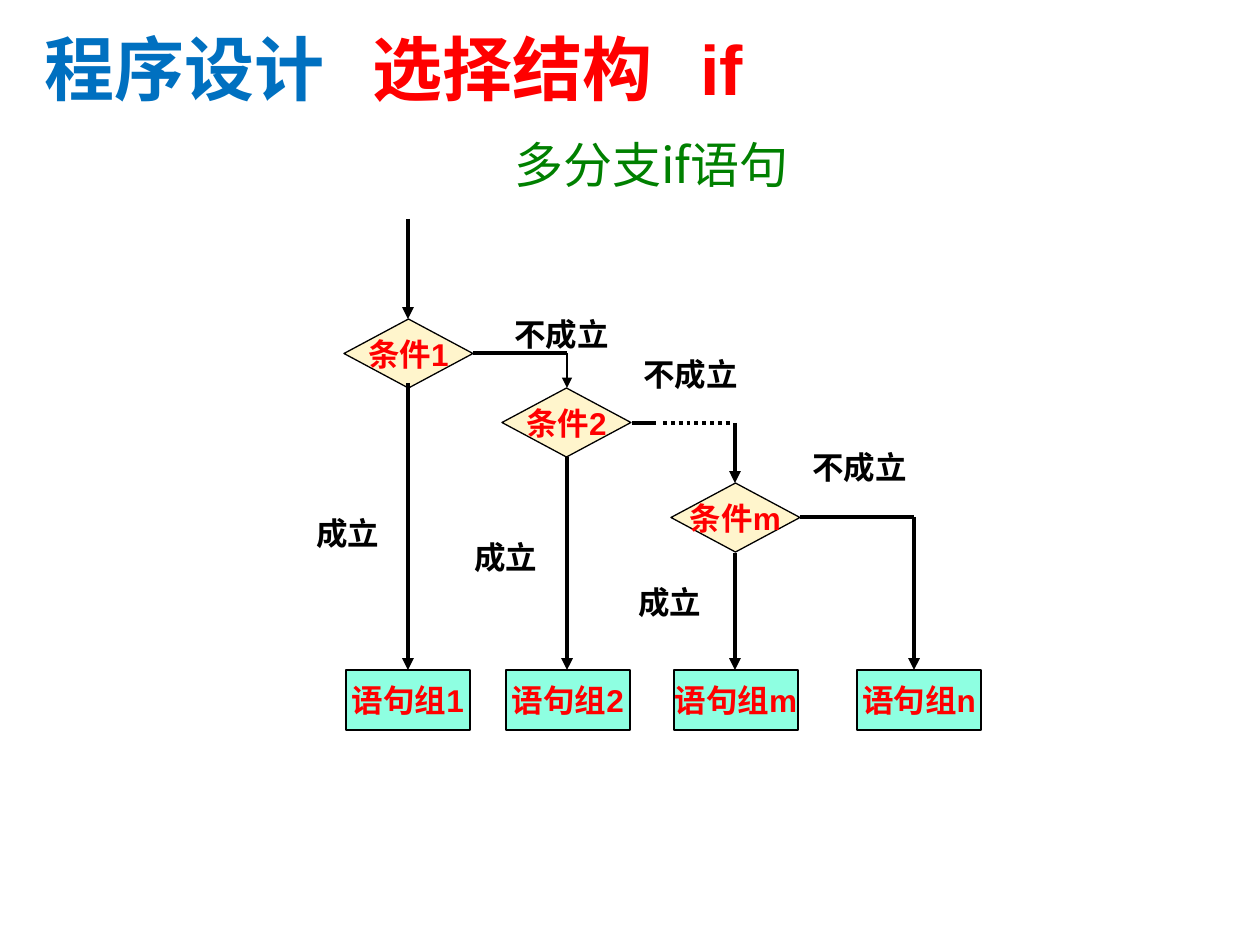
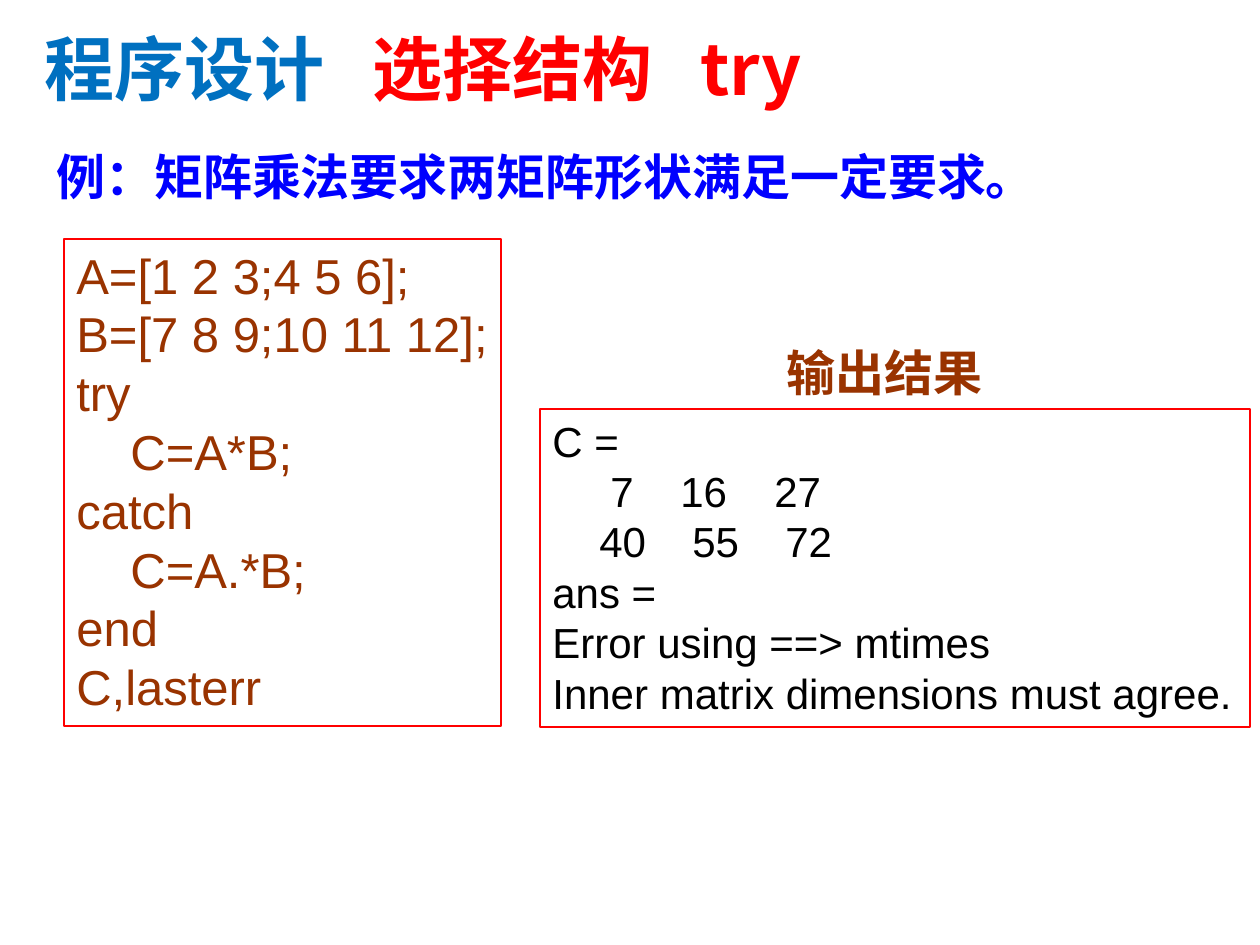
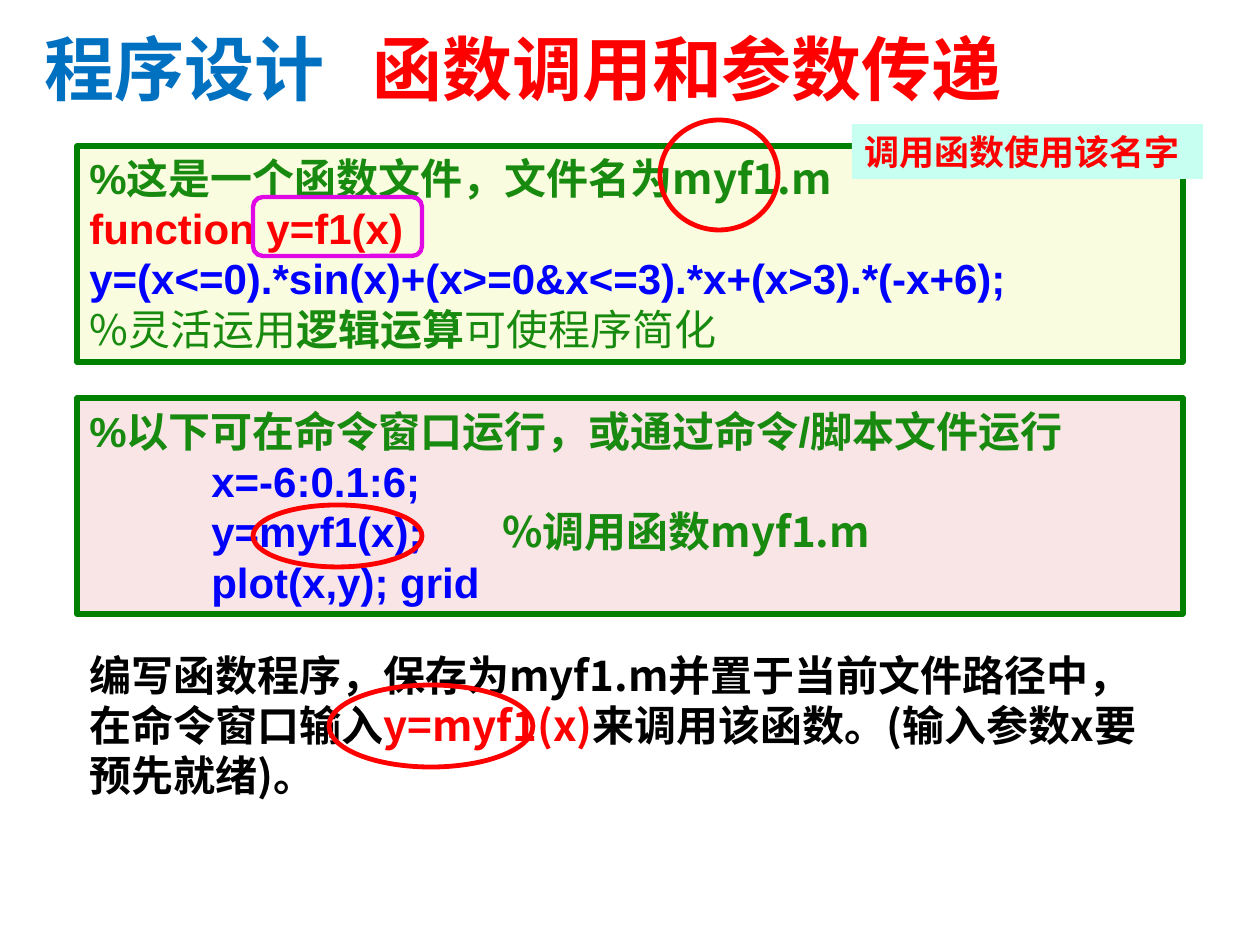
from lxml.etree import SubElement
from pptx import Presentation
from pptx.dml.color import RGBColor
from pptx.enum.dml import MSO_LINE
from pptx.enum.shapes import MSO_CONNECTOR, MSO_SHAPE as Kind
from pptx.enum.text import MSO_ANCHOR as Anchor, PP_ALIGN as Align
from pptx.oxml.ns import qn
from pptx.util import Emu, Pt

COLORS = {
    "black": "000000", "red": "FF0000", "blue": "0000FF", "title": "0070C0",
    "brown": "993300", "green": "008000", "comment": "198A10", "purple": "E008E5",
    "cream": "FFF5CC", "mint": "8EFFE1", "pale mint": "C7FFF0",
    "yellow": "F3F9A5", "dark red": "CC0000",
}
ARIAL, NOTO = "Arial", "Noto Sans CJK SC"
PX_PER_INCH = 126

# Titles: topic, then its detail, each at its own tab stop
TITLE_BOX = (32, 0, 1081, 116)
TITLE_TABS = (328, 656)

# Slide 1: flow chart
CONDITION_SIZE = (129, 69)
CONDITIONS = [("条件1", 344, 319), ("条件2", 502, 388), ("条件m", 671, 483)]
GROUP_TOP, GROUP_SIZE = 670, (124, 60)
GROUPS = [("语句组1", 346), ("语句组2", 506), ("语句组m", 674), ("语句组n", 857)]
LINES = [((473, 353), (567, 353)), ((632, 423), (656, 423)), ((800, 517), (914, 517))]
ARROWS = [((408, 219), (408, 319)), ((408, 383), (408, 670)),
          ((567, 457), (567, 670)), ((735, 423), (735, 483)),
          ((735, 553), (735, 670)), ((914, 517), (914, 670))]
THIN_ARROW = ((567, 353), (567, 388))
DOTTED = ((663, 423), (732, 423))
BRANCH_LABELS = [("成立", 304, 508), ("成立", 462, 532), ("成立", 626, 577),
                 ("不成立", 502, 309), ("不成立", 631, 349), ("不成立", 800, 442)]
LABEL_WIDTHS = {"成立": 95, "不成立": 129}

# Slide 2: code and its output; each line has its tab stops
CODE_TABS = (54,)
CODE = ["A=[1 2 3;4 5 6];", "B=[7 8 9;10 11 12];", "try", "\tC=A*B;", "catch",
        "\tC=A.*B;", "end", "C,lasterr"]
OUTPUT = [("C =", ()), ("\t7\t16\t27", (58, 128, 222)),
          ("\t40\t55\t72", (47, 140, 233)), ("ans =", ()),
          ("Error using ==> mtimes", ()),
          ("Inner matrix dimensions must agree.", ())]

# Slide 3: a paragraph is (spans, tab stops), a span is (text, colour, font, bold)
COMMAND_TABS = (122, 413)
FUNCTION_FILE = [
    ([("%这是一个函数文件，文件名为", "comment", ARIAL, True),
      ("myf1.m", "comment", NOTO, True)], ()),
    ([("function y=f1(x)", "red", ARIAL, True)], ()),
    ([("y=(x<=0).*sin(x)+(x>=0&x<=3).*x+(x>3).*(-x+6);", "blue", ARIAL, True)], ()),
    ([("%灵活运用", "comment", NOTO, False), ("逻辑运算", "comment", NOTO, True),
      ("可使程序简化", "comment", NOTO, False)], ()),
]
COMMANDS = [
    ([("%以下可在命令窗口运行，或通过命令/脚本文件运行", "comment", ARIAL, True)], ()),
    ([("\tx=-6:0.1:6;", "blue", ARIAL, True)], COMMAND_TABS),
    ([("\ty=myf1(x);", "blue", ARIAL, True),
      ("\t%调用函数myf1.m", "comment", NOTO, True)], COMMAND_TABS),
    ([("\tplot(x,y); grid", "blue", ARIAL, True)], COMMAND_TABS),
]
USAGE = [
    ([("编写函数程序，保存为myf1.m并置于当前文件路径中，在命令窗口输入", "black", NOTO, True),
      ("y=myf1(x)", "red", NOTO, True),
      ("来调用该函数。(输入参数x要预先就绪)。", "black", NOTO, True)], ()),
]
RINGS = [(660, 120, 118, 110), (329, 685, 204, 82), (253, 505, 169, 62)]


def px(length):
    return Emu(round(length * 914400 / PX_PER_INCH))


def color(name):
    return RGBColor.from_string(COLORS[name])


def plain(text, color_name, font=ARIAL, bold=False, tabs=()):
    """A paragraph of one span."""
    return [(text, color_name, font, bold)], tabs


def write(shape, paras, size, align=Align.LEFT, anchor=Anchor.TOP, wrap=True):
    frame = shape.text_frame
    frame.word_wrap = wrap
    frame.vertical_anchor = anchor
    for number, (spans, tabs) in enumerate(paras):
        para = frame.add_paragraph() if number else frame.paragraphs[0]
        para.alignment = align
        para.line_spacing = Pt(size * 1.2)
        if tabs:
            stops = SubElement(para._p.get_or_add_pPr(), qn("a:tabLst"))
            for stop in tabs:
                SubElement(stops, qn("a:tab"), pos=str(px(stop)), algn="l")
        for text, color_name, font, bold in spans:
            span = para.add_run()
            span.text = text
            span.font.size = Pt(size)
            span.font.bold = bold
            span.font.color.rgb = color(color_name)
            span.font.name = font
            SubElement(span._r.get_or_add_rPr(), qn("a:ea"), typeface=NOTO)


def add_text(page, box, paras, size, **style):
    write(page.shapes.add_textbox(*map(px, box)), paras, size, **style)


def add_shape(page, kind, box, fill=None, line=None, width=0.75, opacity=100):
    shape = page.shapes.add_shape(kind, *map(px, box))
    shape.shadow.inherit = False
    if fill:
        shape.fill.solid()
        shape.fill.fore_color.rgb = color(fill)
        if opacity < 100:
            tint = shape._element.spPr.find(qn("a:solidFill"))[0]
            SubElement(tint, qn("a:alpha"), val=str(opacity * 1000))
    else:
        shape.fill.background()
    if line:
        shape.line.color.rgb = color(line)
        shape.line.width = Pt(width)
    else:
        shape.line.fill.background()
    return shape


def add_line(page, ends, width=2.25, arrow=False, dash=None):
    start, end = ends
    link = page.shapes.add_connector(MSO_CONNECTOR.STRAIGHT, *map(px, start + end))
    link.line.color.rgb = color("black")
    link.line.width = Pt(width)
    if dash:
        link.line.dash_style = dash
    if arrow:
        SubElement(link.line._get_or_add_ln(), qn("a:tailEnd"), type="triangle")
    SubElement(link._element.spPr, qn("a:effectLst"))


def add_page(deck, detail, font):
    page = deck.slides.add_slide(deck.slide_layouts[6])
    spans = [("程序设计", "title", font, True), ("\t" + detail, "red", font, True)]
    add_text(page, TITLE_BOX, [(spans, TITLE_TABS)], 40, anchor=Anchor.BOTTOM)
    return page


def build_flow_chart(deck):
    page = add_page(deck, "选择结构\tif", ARIAL)
    add_text(page, (502, 128, 373, 72), [plain("多分支if语句", "green", NOTO)], 28)
    nodes = [(Kind.FLOWCHART_DECISION, text, (left, top, *CONDITION_SIZE), "cream")
             for text, left, top in CONDITIONS]
    nodes += [(Kind.RECTANGLE, text, (left, GROUP_TOP, *GROUP_SIZE), "mint")
              for text, left in GROUPS]
    for kind, text, box, fill in nodes:
        node = add_shape(page, kind, box, fill, "black")
        write(node, [plain(text, "red", bold=True)], 18,
              align=Align.CENTER, anchor=Anchor.MIDDLE, wrap=False)
    for ends in LINES:
        add_line(page, ends)
    for ends in ARROWS:
        add_line(page, ends, arrow=True)
    add_line(page, THIN_ARROW, width=1.5, arrow=True)
    add_line(page, DOTTED, dash=MSO_LINE.ROUND_DOT)
    for text, left, top in BRANCH_LABELS:
        add_text(page, (left, top, LABEL_WIDTHS[text], 50),
                 [plain(text, "black", bold=True)], 18)


def build_try_example(deck):
    page = add_page(deck, "选择结构\ttry", NOTO)
    heading = plain("例：矩阵乘法要求两矩阵形状满足一定要求。", "blue", NOTO, True)
    add_text(page, (44, 140, 1068, 80), [heading], 28)
    code = add_shape(page, Kind.RECTANGLE, (64, 239, 437, 487), line="red")
    write(code, [plain(text, "brown", tabs=CODE_TABS) for text in CODE], 28)
    output = add_shape(page, Kind.RECTANGLE, (540, 409, 710, 318), line="red")
    write(output, [plain(text, "black", tabs=tabs) for text, tabs in OUTPUT], 24)
    add_text(page, (774, 336, 243, 72), [plain("输出结果", "brown", bold=True)], 28)


def build_function_call(deck):
    page = add_page(deck, "函数调用和参数传递", NOTO)
    panels = [(146, "yellow", 35, FUNCTION_FILE, Anchor.TOP),
              (398, "dark red", 10, COMMANDS, Anchor.MIDDLE)]
    for top, fill, opacity, paras, anchor in panels:
        panel = add_shape(page, Kind.RECTANGLE, (77, top, 1106, 216),
                          fill, "green", 3, opacity)
        write(panel, paras, 24, anchor=anchor)
    add_text(page, (77, 643, 1106, 165), USAGE, 24)
    for box in RINGS:
        add_shape(page, Kind.OVAL, box, line="red", width=2.75)
    add_shape(page, Kind.ROUNDED_RECTANGLE, (253, 197, 169, 59),
              line="purple", width=2.5)
    note = add_shape(page, Kind.RECTANGLE, (852, 124, 351, 55), "pale mint")
    write(note, [plain("调用函数使用该名字", "red", NOTO, True)], 20)


def main():
    deck = Presentation()
    deck.slide_width, deck.slide_height = px(1260), px(945)
    build_flow_chart(deck)
    build_try_example(deck)
    build_function_call(deck)
    deck.save("out.pptx")


if __name__ == "__main__":
    main()
